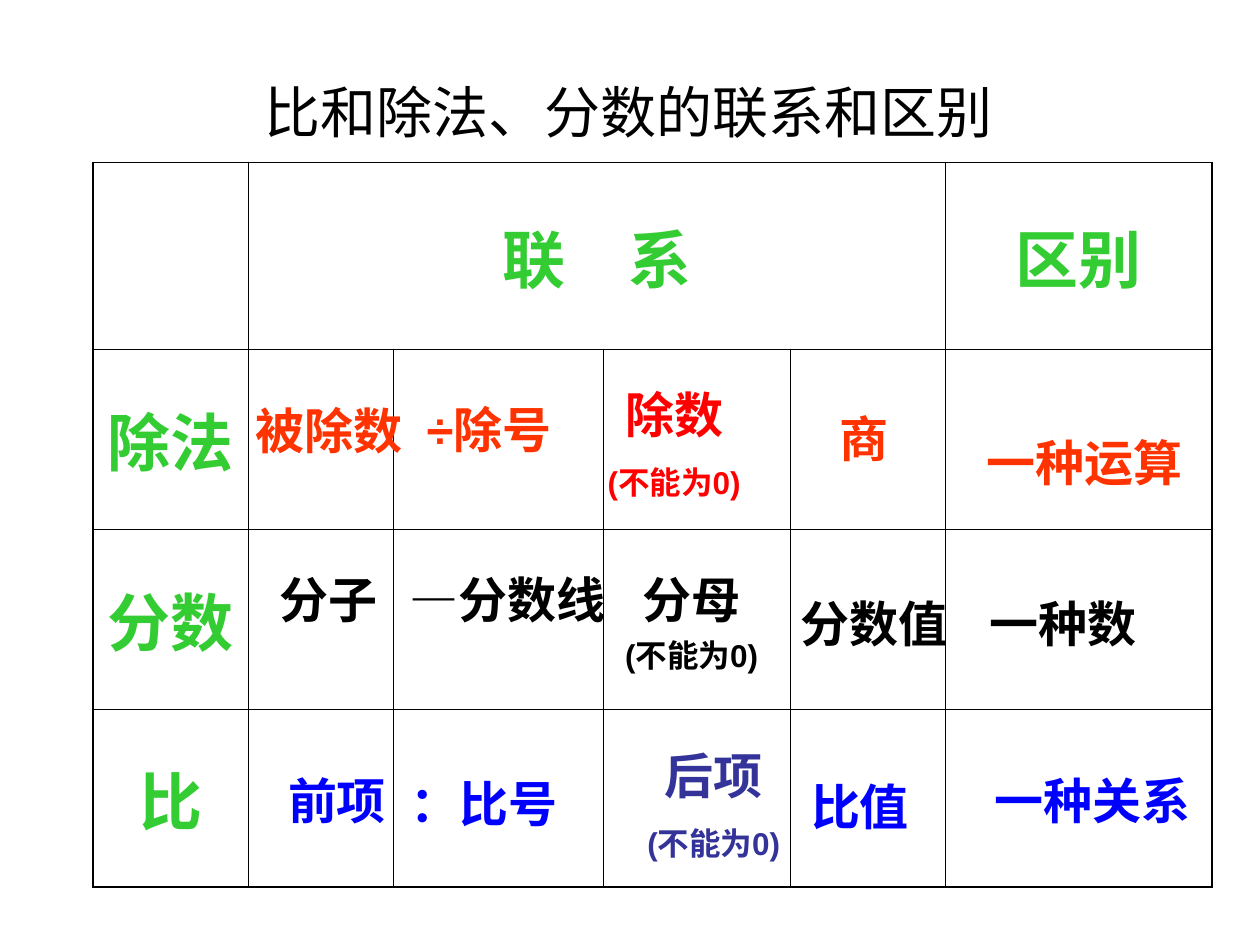
from lxml import etree
from pptx import Presentation
from pptx.dml.color import RGBColor
from pptx.enum.text import MSO_ANCHOR, MSO_AUTO_SIZE, PP_ALIGN
from pptx.oxml.ns import qn
from pptx.util import Inches, Pt

COLOURS = {"black": "000000", "green": "33CC33", "orange": "FF3300",
           "red": "FF0000", "blue": "0000FF", "indigo": "333399"}
CJK, LATIN, SERIF = "Noto Sans CJK SC", "Arial", "Times New Roman"

TITLE = "比和除法、分数的联系和区别"
COLUMN_WIDTHS = [1.23, 1.15, 1.67, 1.48, 1.23, 2.12]
ROW_HEIGHTS = [1.48, 1.43, 1.43, 1.41]
HEADINGS = {(0, 1): "联　系", (0, 5): "区别",
            (1, 0): "除法", (2, 0): "分数", (3, 0): "比"}
NOTE = "(不能为0)"

# left, top, width, symbol, term, colour
DIVISION = [
    (1.82, 3.13, 1.58, "", "被除数", "orange"),
    (3.09, 3.12, 1.58, "÷", "除号", "orange"),
    (4.56, 3.00, 1.58, "", "除数", "red"),
    (6.40, 3.19, 0.92, "", "商", "orange"),
    (7.58, 3.38, 2.05, "", "一种运算", "orange"),
]
FRACTION = [
    (1.82, 4.47, 1.58, "", "分子", "black"),
    (3.09, 4.47, 1.87, "—", "分数线", "black"),
    (4.70, 4.47, 1.58, "", "分母", "black"),
    (6.15, 4.66, 1.57, "", "分数值", "black"),
    (7.31, 4.66, 2.26, "", "一种数", "black"),
]
RATIO = [
    (1.51, 6.07, 2.33, "", "前项", "blue"),
    (3.05, 6.09, 1.58, "：", "比号", "blue"),
    (4.56, 5.87, 2.21, "", "后项", "indigo"),
    (6.14, 6.11, 1.37, "", "比值", "blue"),
    (7.65, 6.07, 2.04, "", "一种关系", "blue"),
]
# terms, font, space before the note
GROUPS = [(DIVISION, CJK, 11.2), (FRACTION, CJK, 4.5), (RATIO, SERIF, 11.2)]
NOTED_TERMS = ("除数", "分母", "后项")


def add_span(para, text, size=28, font=CJK, colour="black", bold=True):
    para.alignment = PP_ALIGN.CENTER
    span = para.add_run()
    span.text = text
    span.font.size = Pt(size)
    span.font.name = font
    span.font.bold = bold
    span.font.color.rgb = RGBColor.from_string(COLOURS[colour])
    east_asian = etree.SubElement(span.font._element, qn("a:ea"))
    east_asian.set("typeface", CJK)


def set_borders(cell, widths):
    """Draw the left, right, top and bottom lines, widths in points."""
    properties = cell._tc.get_or_add_tcPr()
    for index, (side, width) in enumerate(zip("LRTB", widths)):
        line = etree.Element(qn(f"a:ln{side}"), w=str(Pt(width)))
        fill = etree.SubElement(line, qn("a:solidFill"))
        etree.SubElement(fill, qn("a:srgbClr"), val=COLOURS["black"])
        properties.insert(index, line)


def add_grid(page):
    rows, columns = len(ROW_HEIGHTS), len(COLUMN_WIDTHS)
    table = page.shapes.add_table(
        rows, columns, Inches(0.74), Inches(1.29),
        Inches(sum(COLUMN_WIDTHS)), Inches(sum(ROW_HEIGHTS))).table
    table.first_row = table.horz_banding = False
    for column, width in zip(table.columns, COLUMN_WIDTHS):
        column.width = Inches(width)
    for row, height in zip(table.rows, ROW_HEIGHTS):
        row.height = Inches(height)
    table.cell(0, 1).merge(table.cell(0, 4))
    for row in range(rows):
        for column in range(columns):
            cell = table.cell(row, column)
            cell.fill.background()
            cell.vertical_anchor = MSO_ANCHOR.MIDDLE
            outer = (column == 0, column == columns - 1,
                     row == 0, row == rows - 1)
            set_borders(cell, [1.08 if edge else 0.45 for edge in outer])
            if (row, column) in HEADINGS:
                add_span(cell.text_frame.paragraphs[0],
                         HEADINGS[row, column], size=36, colour="green")


def add_term(page, left, top, width, symbol, term, colour, font, note_gap):
    noted = term in NOTED_TERMS
    box = page.shapes.add_textbox(Inches(left), Inches(top), Inches(width),
                                  Inches(1 if noted else 0.57))
    frame = box.text_frame
    frame.word_wrap = True
    frame.auto_size = MSO_AUTO_SIZE.SHAPE_TO_FIT_TEXT
    para = frame.paragraphs[0]
    if symbol:
        add_span(para, symbol, font=LATIN, colour=colour)
    add_span(para, term, font=font, colour=colour)
    if noted:
        note = frame.add_paragraph()
        note.space_before = Pt(note_gap)
        add_span(note, NOTE, size=18, font=LATIN, colour=colour)


def main():
    deck = Presentation()
    deck.slide_width, deck.slide_height = Inches(10), Inches(7.5)
    page = deck.slides.add_slide(deck.slide_layouts[5])

    title = page.shapes.title
    title.left, title.top = Inches(1.31), Inches(0.26)
    title.width, title.height = Inches(7.36), Inches(1.25)
    title.text_frame.vertical_anchor = MSO_ANCHOR.MIDDLE
    title.text_frame.auto_size = MSO_AUTO_SIZE.NONE
    add_span(title.text_frame.paragraphs[0], TITLE,
             size=32, font=LATIN, bold=False)

    add_grid(page)
    for terms, font, note_gap in GROUPS:
        for term in terms:
            add_term(page, *term, font=font, note_gap=note_gap)
    deck.save("out.pptx")


if __name__ == "__main__":
    main()
